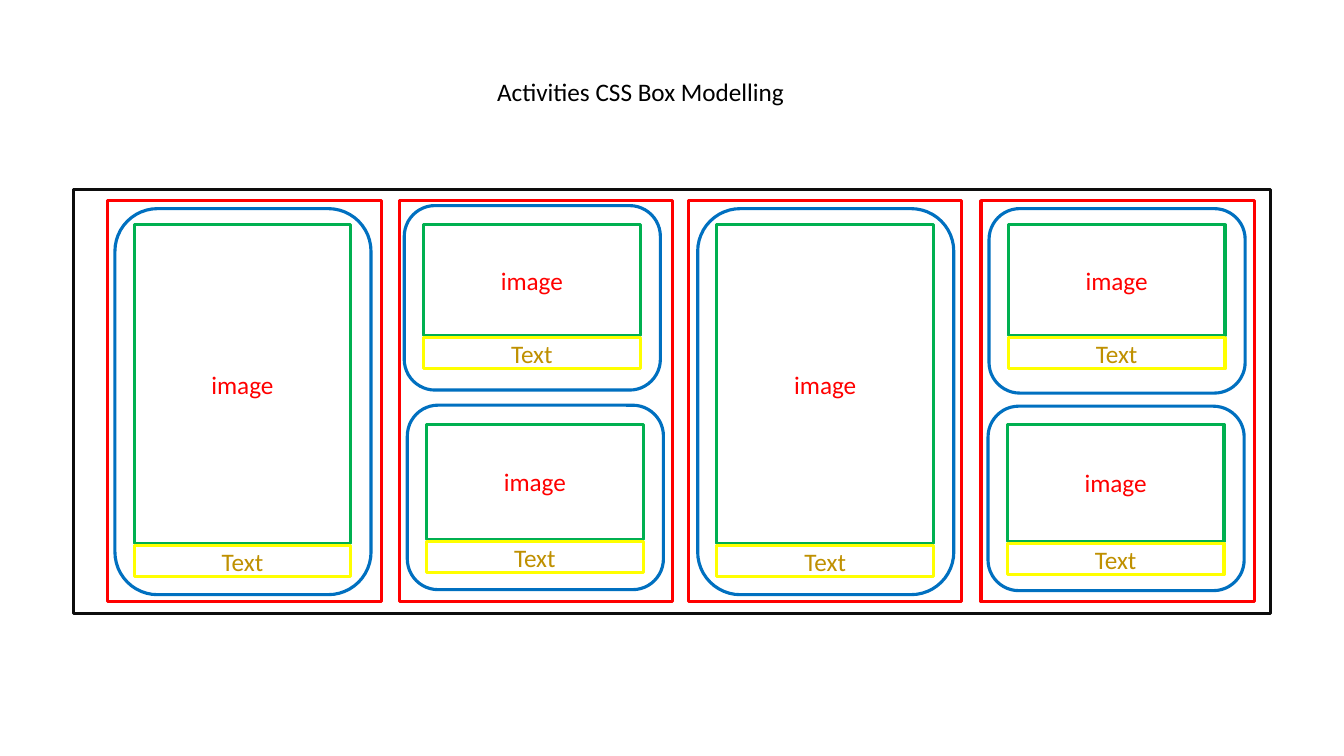
from pptx import Presentation
from pptx.dml.color import RGBColor
from pptx.enum.shapes import MSO_SHAPE
from pptx.enum.text import MSO_ANCHOR, PP_ALIGN
from pptx.util import Pt

PX = 9144  # 100 px to the inch
RED, BLUE, GREEN = "FF0000", "0070C0", "00B050"
YELLOW, GOLD, BLACK = "FFFF00", "BF9000", "0D0D0D"

# Columns: left edge in the page box, then cards as
# (left, top, height, image top, image height), each relative to its parent
COLUMNS = [
    (34, [(7, 8, 383, 16, 316)]),
    (323, [(5, 5, 183, 19, 110), (8, 203, 183, 19, 114)]),
    (610, [(9, 8, 383, 16, 316)]),
    (900, [(8, 8, 183, 16, 110), (7, 204, 183, 18, 116)]),
]


def color(code):
    return RGBColor.from_string(code)


def write(shape, text, code, align):
    frame = shape.text_frame
    frame.text = text
    frame.vertical_anchor = MSO_ANCHOR.MIDDLE
    para = frame.paragraphs[0]
    para.alignment = align
    font = para.runs[0].font
    font.name, font.size = "Calibri", Pt(18)
    font.color.rgb = color(code)


def box(slide, x, y, w, h, line, kind=MSO_SHAPE.RECTANGLE):
    shape = slide.shapes.add_shape(kind, *(n * PX for n in (x, y, w, h)))
    shape.shadow.inherit = False
    shape.fill.solid()
    shape.fill.fore_color.rgb = color("FFFFFF")
    shape.line.color.rgb = color(line)
    shape.line.width = Pt(2.25)
    return shape


def heading(slide, x, y, w, h):
    title = slide.shapes.title
    title.left, title.top, title.width, title.height = (
        n * PX for n in (x, y, w, h))
    write(title, "Activities CSS Box Modelling", "000000", PP_ALIGN.JUSTIFY)


def card(slide, x, y, h, top, tall):
    """Rounded card with an image area and a caption just below it."""
    box(slide, x, y, 254, h, BLUE, MSO_SHAPE.ROUNDED_RECTANGLE)
    left, top = x + 19, y + top
    image = box(slide, left, top, 215, tall, GREEN)
    write(image, "image", RED, PP_ALIGN.CENTER)
    label = box(slide, left, top + tall + 2, 215, 31, YELLOW)
    write(label, "Text", GOLD, PP_ALIGN.CENTER)


def column(slide, x, y, cards):
    box(slide, x, y, 271, 398, RED)
    for dx, dy, h, top, tall in cards:
        card(slide, x + dx, y + dy, h, top, tall)


def page(slide, x, y, w, h):
    box(slide, x, y, w, h, BLACK)
    for dx, cards in COLUMNS:
        column(slide, x + dx, y + 11, cards)


def main():
    deck = Presentation()
    deck.slide_width, deck.slide_height = 1333 * PX, 750 * PX
    slide = deck.slides.add_slide(deck.slide_layouts[5])  # Title Only
    heading(slide, 483, 71, 349, 40)
    page(slide, 73, 188, 1187, 421)
    deck.save("out.pptx")


if __name__ == "__main__":
    main()
